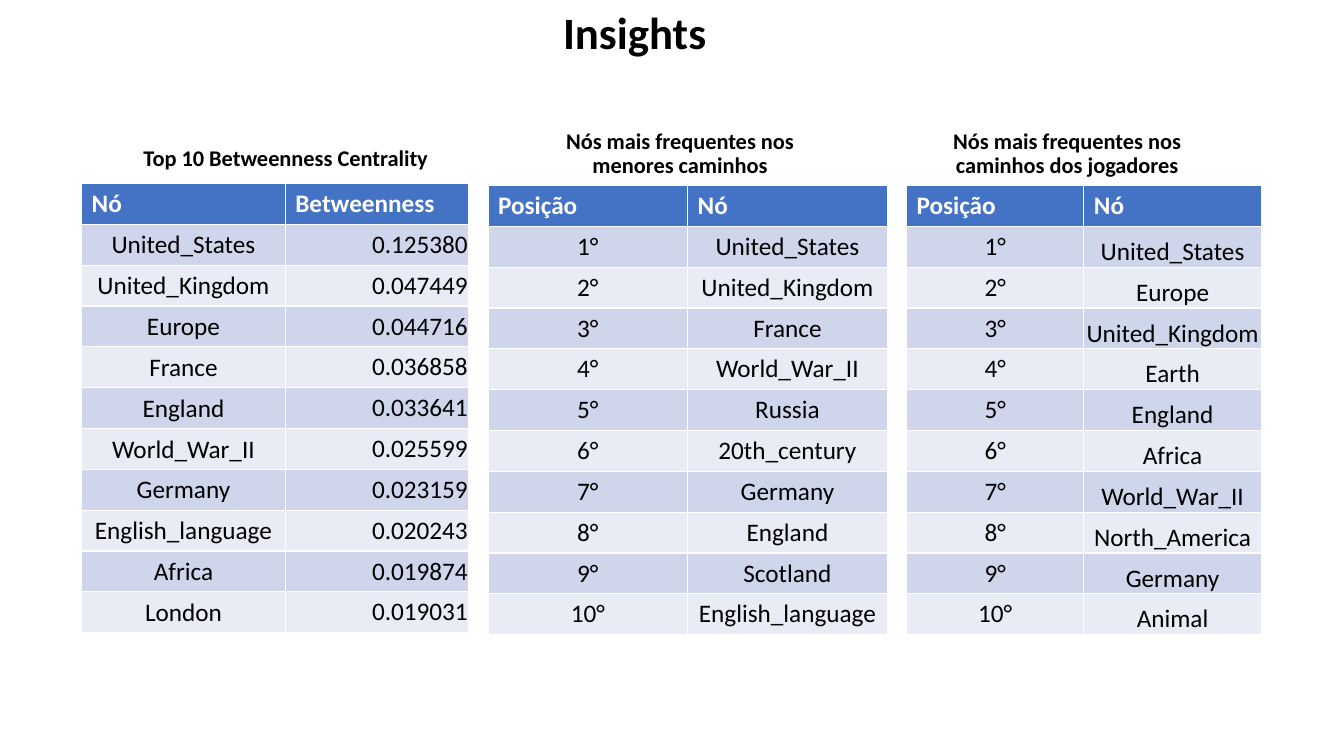
from dataclasses import dataclass

from pptx import Presentation
from pptx.dml.color import RGBColor as RGB
from pptx.enum.text import MSO_ANCHOR as ANCHOR, MSO_AUTO_SIZE as AUTO, PP_ALIGN as ALIGN
from pptx.util import Inches, Pt


@dataclass(frozen=True)
class Theme:
    font: str = "Calibri"
    black: RGB = RGB(0x00, 0x00, 0x00)
    white: RGB = RGB(0xFF, 0xFF, 0xFF)
    header: RGB = RGB(0x44, 0x72, 0xC4)
    bands: tuple = (RGB(0xCF, 0xD5, 0xEA), RGB(0xE9, 0xEB, 0xF5))
    title: int = 32
    caption: int = 16
    body: int = 18


THEME = Theme()
ROW_HEIGHT = Inches(4.46 / 11)

# Cell insets in inches: left, top, right, bottom
NORMAL = (0.1, 0.05, 0.1, 0.05)
TIGHT = (0.01, 0.01, 0.01, 0)
NUMBER = (0.01, 0.03, 0.01, 0.03)

# Body column formats: alignment, vertical anchor, insets
CENTERED = (ALIGN.CENTER, ANCHOR.TOP, NORMAL)
MIDDLE = (ALIGN.CENTER, ANCHOR.MIDDLE, TIGHT)
BOTTOM = (ALIGN.CENTER, ANCHOR.BOTTOM, TIGHT)
FIGURES = (ALIGN.RIGHT, ANCHOR.MIDDLE, NUMBER)

BETWEENNESS = [
    ("United_States", "0.125380"),
    ("United_Kingdom", "0.047449"),
    ("Europe", "0.044716"),
    ("France", "0.036858"),
    ("England", "0.033641"),
    ("World_War_II", "0.025599"),
    ("Germany", "0.023159"),
    ("English_language", "0.020243"),
    ("Africa", "0.019874"),
    ("London", "0.019031"),
]
SHORTEST_PATHS = ["United_States", "United_Kingdom", "France", "World_War_II", "Russia",
                  "20th_century", "Germany", "England", "Scotland", "English_language"]
PLAYER_PATHS = ["United_States", "Europe", "United_Kingdom", "Earth", "England",
                "Africa", "World_War_II", "North_America", "Germany", "Animal"]


def write(tf, text, size=THEME.body, color=THEME.black, bold=False, align=ALIGN.CENTER,
          spacing=None, before=None):
    p = tf.paragraphs[0]
    p.alignment = align
    if spacing is not None:
        p.line_spacing = spacing
    if before is not None:
        p.space_before = Pt(before)
    r = p.add_run()
    r.text = text
    r.font.name = THEME.font
    r.font.size = Pt(size)
    r.font.bold = bold
    r.font.color.rgb = color


def add_title(slide, text):
    sp = slide.shapes.title
    sp.left, sp.top, sp.width, sp.height = Inches(3.52), Inches(0), Inches(5.55), Inches(0.64)
    tf = sp.text_frame
    tf.vertical_anchor = ANCHOR.TOP
    tf.auto_size = AUTO.SHAPE_TO_FIT_TEXT
    write(tf, text, size=THEME.title, bold=True)


def add_caption(slide, text, left, top, width):
    sp = slide.shapes.add_textbox(Inches(left), Inches(top), Inches(width), Inches(0.59))
    tf = sp.text_frame
    tf.word_wrap = True
    write(tf, text, size=THEME.caption, bold=True, spacing=0.9, before=10)


def fill_cell(cell, text, fill, anchor, insets, **text_format):
    cell.fill.solid()
    cell.fill.fore_color.rgb = fill
    cell.vertical_anchor = anchor
    (cell.margin_left, cell.margin_top,
     cell.margin_right, cell.margin_bottom) = map(Inches, insets)
    write(cell.text_frame, text, **text_format)


def add_ranking(slide, left, top, col_widths, headers, rows, formats):
    # The default table style supplies the white rules
    table = slide.shapes.add_table(
        len(rows) + 1, len(headers), Inches(left), Inches(top),
        Inches(sum(col_widths)), ROW_HEIGHT * (len(rows) + 1)).table
    for row in table.rows:
        row.height = ROW_HEIGHT
    for c, (width, header) in enumerate(zip(col_widths, headers)):
        table.columns[c].width = Inches(width)
        fill_cell(table.cell(0, c), header, THEME.header, ANCHOR.TOP, NORMAL,
                  color=THEME.white, bold=True, align=ALIGN.LEFT)
    for i, values in enumerate(rows):
        for c, (text, (align, anchor, insets)) in enumerate(zip(values, formats)):
            fill_cell(table.cell(i + 1, c), text, THEME.bands[i % 2], anchor, insets,
                      align=align)


def ranked(nodes):
    return [(f"{i}°", node) for i, node in enumerate(nodes, 1)]


def main():
    prs = Presentation()
    prs.slide_width, prs.slide_height = Inches(13.33), Inches(7.5)
    slide = prs.slides.add_slide(prs.slide_layouts[5])
    add_title(slide, "Insights")

    # Betweenness centrality
    add_caption(slide, "Top 10 Betweenness Centrality", 1.2, 1.41, 3.27)
    add_ranking(slide, 0.81, 1.82, (2.02, 1.82), ("Nó", "Betweenness"),
                BETWEENNESS, (MIDDLE, FIGURES))

    # Most frequent nodes in the shortest paths
    add_caption(slide, "Nós mais frequentes nos menores caminhos", 5.14, 1.24, 3.21)
    add_ranking(slide, 4.84, 1.84, (1.98, 1.98), ("Posição", "Nó"),
                ranked(SHORTEST_PATHS), (CENTERED, CENTERED))

    # Most frequent nodes in the players' paths
    add_caption(slide, "Nós mais frequentes nos caminhos dos jogadores", 9.07, 1.24, 3.03)
    add_ranking(slide, 8.99, 1.84, (1.76, 1.76), ("Posição", "Nó"),
                ranked(PLAYER_PATHS), (CENTERED, BOTTOM))

    prs.save("out.pptx")


if __name__ == "__main__":
    main()
